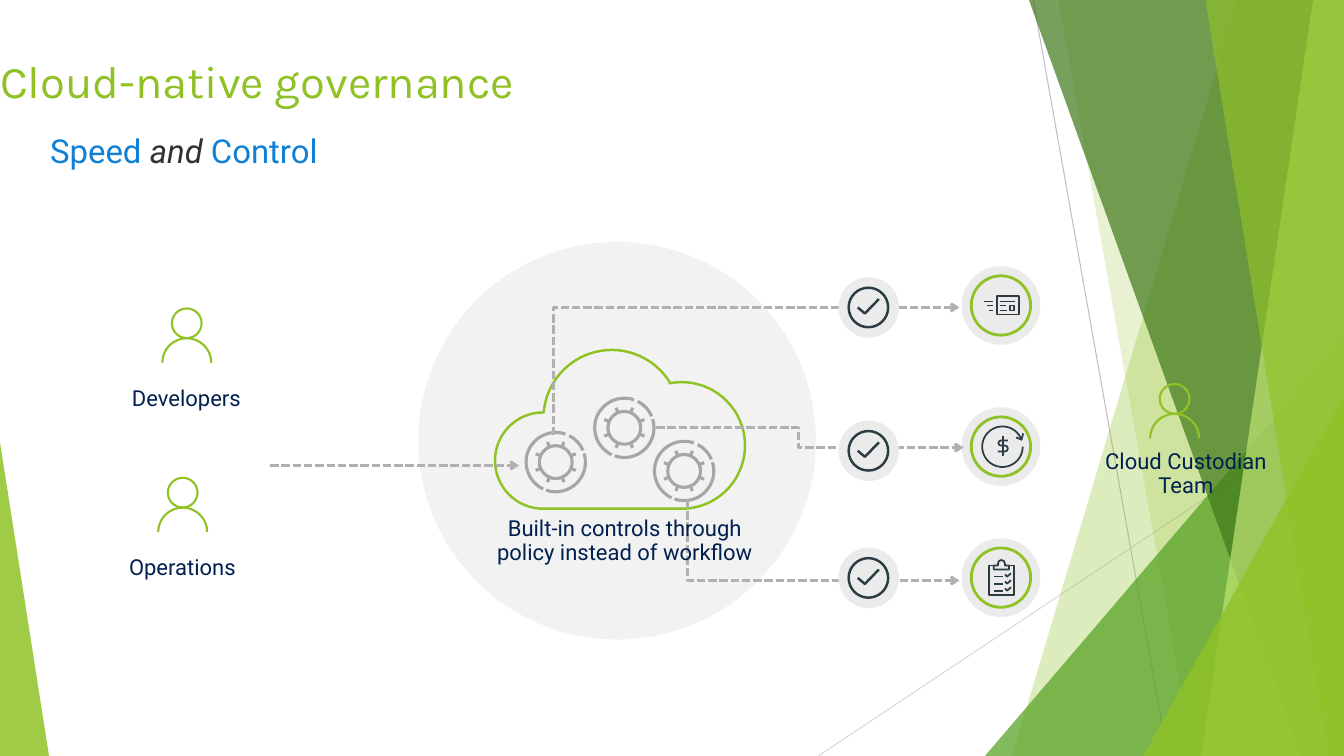
import math
import pptx
import pptx.util
import pptx.dml.color
import pptx.enum.dml
import pptx.enum.shapes
import pptx.enum.text
import pptx.oxml.ns
import lxml.etree

Pt = pptx.util.Pt
qn = pptx.oxml.ns.qn
SHAPE = pptx.enum.shapes.MSO_SHAPE
W, H = 960, 540
COLORS = {
    "lime": "90C226", "green": "54A021", "forest": "3F7819", "pale": "C0E474",
    "disc": "F2F2F2", "badge": "EBEBEB", "slate": "2C3C43", "gear": "A6A6A6",
    "dash": "B0B0B0", "rule": "BFBFBF", "faint": "D9D9D9",
    "navy": "002050", "blue": "0F80D6", "ink": "313131",
}


def rgb(name):
    return pptx.dml.color.RGBColor.from_string(COLORS[name])


def sub(parent, tag, **attrs):
    return lxml.etree.SubElement(parent, qn(tag), attrs)


def stroke(ln, color, width):
    ln.color.rgb = rgb(color)
    ln.width = Pt(width)


def paint(sp, fill=None, alpha=100, line=None, width=1):
    sp.shadow.inherit = False
    if fill:
        sp.fill.solid()
        sp.fill.fore_color.rgb = rgb(fill)
        if alpha < 100:
            clr = sp._element.spPr.find(qn("a:solidFill")).find(qn("a:srgbClr"))
            sub(clr, "a:alpha", val=str(alpha * 1000))
    else:
        sp.fill.background()
    if line:
        stroke(sp.line, line, width)
    else:
        sp.line.fill.background()
    return sp


def dashed_arrow(sp):
    sp.line.dash_style = pptx.enum.dml.MSO_LINE.SQUARE_DOT
    sub(sp._element.spPr.find(qn("a:ln")), "a:tailEnd", type="arrow")


def circle(s, x, y, d, **style):
    return paint(s.shapes.add_shape(SHAPE.OVAL, Pt(x), Pt(y), Pt(d), Pt(d)), **style)


def arc(cx, cy, r, start=0, end=360):
    n = math.ceil(abs(end - start) / 90)
    step = math.radians(end - start) / n
    k = 4 / 3 * math.tan(step / 4)
    points = [(cx + r * math.cos(math.radians(start)), cy + r * math.sin(math.radians(start)))]
    for i in range(n):
        a = math.radians(start) + i * step
        b = a + step
        for t, d in ((a, k), (b, -k), (b, 0)):
            points.append((cx + r * (math.cos(t) - d * math.sin(t)),
                           cy + r * (math.sin(t) + d * math.cos(t)), "curve"))
    return points


def bend(sp, curved):
    legs = list(sp._element.iter(qn("a:lnTo")))
    bent = [leg for leg, flag in zip(legs, curved) if flag]
    for i in range(0, len(bent), 3):
        curve = lxml.etree.Element(qn("a:cubicBezTo"))
        bent[i].addprevious(curve)
        for leg in bent[i:i + 3]:
            curve.append(leg[0])
            leg.getparent().remove(leg)


def outline(s, x, y, contours, closed=False, **style):
    scaled = [[((x + p[0]) * 100, (y + p[1]) * 100) for p in c] for c in contours]
    fb = s.shapes.build_freeform(*scaled[0][0], scale=Pt(1) / 100)
    for i, points in enumerate(scaled):
        if i:
            fb.move_to(*points[0])
        fb.add_line_segments(points[1:], close=closed)
    sp = fb.convert_to_shape()
    bend(sp, [len(p) == 3 for c in contours for p in c[1:]])
    return paint(sp, **style)


def straight(s, x1, y1, x2, y2, color, width):
    cn = s.shapes.add_connector(pptx.enum.shapes.MSO_CONNECTOR.STRAIGHT,
                                Pt(x1), Pt(y1), Pt(x2), Pt(y2))
    stroke(cn.line, color, width)
    sub(cn._element.spPr, "a:effectLst")
    return cn


def add_run(p, text, size=15.7, color="navy", font="Roboto", italic=False):
    r = p.add_run()
    r.text = text
    r.font.size = Pt(size)
    r.font.name = font
    r.font.italic = italic
    r.font.color.rgb = rgb(color)


def place_frame(sp, x, y, w, h, inset_x=0, inset_y=0, anchor="MIDDLE", align="CENTER"):
    sp.left, sp.top, sp.width, sp.height = Pt(x), Pt(y), Pt(w), Pt(h)
    tf = sp.text_frame
    tf.word_wrap = True
    tf.margin_left = tf.margin_right = Pt(inset_x)
    tf.margin_top = tf.margin_bottom = Pt(inset_y)
    tf.vertical_anchor = getattr(pptx.enum.text.MSO_ANCHOR, anchor)
    p = tf.paragraphs[0]
    p.alignment = getattr(pptx.enum.text.PP_ALIGN, align)
    return p


def text_box(s, x, y, w, h, **frame):
    p = place_frame(s.shapes.add_textbox(0, 0, 0, 0), x, y, w, h, **frame)
    p.line_spacing = 0.9
    return p


def facet(s, top_x, bottom_x, fill, alpha):
    outline(s, 0, 0, [[(top_x, 0), (W, 0), (W, H), (bottom_x, H)]],
            closed=True, fill=fill, alpha=alpha)


def wedge(s, x, y, w, apex, fill, alpha):
    sp = s.shapes.add_shape(SHAPE.ISOSCELES_TRIANGLE, Pt(x), Pt(y), Pt(w), Pt(H - y))
    sp.adjustments[0] = apex
    paint(sp, fill=fill, alpha=alpha)


def backdrop(s):
    straight(s, 738, 0, 834, H, "rule", 0.75)
    straight(s, W, 290, 584.5, H, "faint", 0.75)
    facet(s, 884, 723, "lime", 30)
    facet(s, 756, 852, "lime", 20)
    wedge(s, 703.5, 240, 256.5, 1, "green", 72)
    facet(s, 735, 929.5, "forest", 70)
    facet(s, 938, 858, "pale", 70)
    facet(s, 861, 949, "lime", 65)
    wedge(s, 816.5, 283, 143.5, 1, "lime", 80)
    wedge(s, 0, 316, 35, 0, "lime", 85)


def headings(s):
    p = place_frame(s.shapes.title, 0, 35.5, 867.5, 44, align="LEFT")
    add_run(p, "Cloud-native governance", size=32.4, color="lime", font="Karla")
    p = text_box(s, 21.8, 85.7, 841, 48, inset_x=14, inset_y=11, anchor="TOP", align="LEFT")
    for text, color in (("Speed ", "blue"), ("and ", "ink"), ("Control", "blue")):
        add_run(p, text, size=23.5, color=color, italic=color == "ink")


def cloud(s, x, y):
    circle(s, x - 55.4, y - 77, 284, fill="disc")
    edge = (arc(132.8, 68.4, 45.2, 90, -101) + arc(82.8, 49, 48.8, -31, -175)
            + arc(33.8, 79.2, 34.4, -90, -270))
    outline(s, x, y, [edge], closed=True, fill="disc", line="lime", width=1.75)


def gear(s, x, y):
    c, rim, hub = 21.2, 21.2, 11.7
    contours = [arc(c, c, hub)]
    contours += [arc(c, c, rim, a, b) for a, b in ((-71, -245), (109, -17), (-23, -63))]
    for k in range(8):
        a = math.radians(22.5 + 45 * k)
        contours.append([(c + r * math.cos(a), c + r * math.sin(a)) for r in (15.5, hub)])
    outline(s, x, y, contours, line="gear", width=2.25)


def person(s, x, y, label, w=129.6, h=17.3, drop=56.2):
    outline(s, x, y, [arc(17.5, 10.6, 10.6), arc(17.5, 38.8, 17.5, 180, 360)],
            line="lime", width=1.5)
    add_run(text_box(s, x - 47.5, y + drop, w, h), label)


def check(s, x, y):
    circle(s, x, y, 43.2, fill="badge")
    outline(s, x + 21.3, y + 21.6, [arc(0, 0, 14.1), [(-7.6, 0), (-2.5, 4.3), (7.5, -6)]],
            fill="badge", line="slate", width=1.75)


def target(s, x, y, icon):
    circle(s, x, y, 56.2, fill="badge")
    circle(s, x + 6.9, y + 6.9, 42.4, line="lime", width=2)
    outline(s, x, y, icon, line="slate", width=1.25)


def row(x1, x2, y):
    return [(x1, y), (x2, y)]


def rectangle(x1, y1, x2, y2):
    return [(x1, y1), (x2, y1), (x2, y2), (x1, y2), (x1, y1)]


def message_icon():
    lines = [(15.8, 22.3, 25.2), (18, 22.3, 28.2), (19.4, 22.3, 31.7),
             (27.4, 38.2, 25.2), (27.4, 31.7, 28.2), (27.4, 32.4, 31.7)]
    return ([row(*line) for line in lines]
            + [rectangle(25.2, 21.6, 41, 34.6), rectangle(34.6, 28.2, 37.4, 31.7)])


def dollar_icon():
    sign = ([(33.1, 23.8)] + arc(28.1, 25.6, 1.8, -90, -270)
            + arc(31, 29.5, 2.1, -90, 90) + [(25.9, 31.6)])
    return [arc(29.2, 28.2, 14.5, 0, 340), [(39, 21.6), (42.8, 23.2), (44, 18.7)],
            sign, [(29.5, 20.9), (29.5, 34.6)]]


def checklist_icon():
    clip = ([(25.9, 19.4)] + arc(28.4, 18, 2.5, 180, 360)
            + [(30.9, 19.4), (33.8, 19.4), (33.8, 22.3), (23, 22.3), (23, 19.4), (25.9, 19.4)])
    board = [(23, 19.4), (19.4, 19.4), (19.4, 40.3), (37.4, 40.3), (37.4, 19.4), (33.8, 19.4)]
    contours = [clip, board]
    for y in (27.4, 32.4, 37.4):
        contours += [row(23, 29.5, y), [(31, y - 1.6), (32.4, y), (35.3, y - 2.4)]]
    return contours


prs = pptx.Presentation()
prs.slide_width, prs.slide_height = Pt(W), Pt(H)
s = prs.slides.add_slide(prs.slide_layouts[5])
backdrop(s)
cloud(s, 354.2, 249.8)
headings(s)
for y, icon in ((190.1, message_icon()), (290.9, dollar_icon()), (384.5, checklist_icon())):
    target(s, 686.9, y, icon)
dashed_arrow(straight(s, 193, 332.5, 370.8, 332.5, "dash", 2))
for x, y in ((375.8, 308.9), (424.8, 284.4), (467.5, 315.2)):
    gear(s, x, y)
for route in ([(395.3, 311), (395.3, 219.6), (685.4, 219.6)],
              [(468.7, 305.3), (570.2, 305.3), (570.2, 319.7), (688.3, 319.7)],
              [(491, 357.1), (491, 414.7), (685.4, 414.7)]):
    dashed_arrow(outline(s, 0, 0, [route], line="dash", width=2))
caption = text_box(s, 346.3, 370, 200, 33.8)
add_run(caption, "Built-in controls through policy instead of workflow")
for y in (198, 300.4, 391.2):
    check(s, 599, y)
person(s, 115.9, 220.3, "Developers")
person(s, 113, 341.3, "Operations")
person(s, 821.5, 274.3, "Cloud Custodian Team", w=146.2, h=33.8, drop=47.5)
prs.save("out.pptx")
